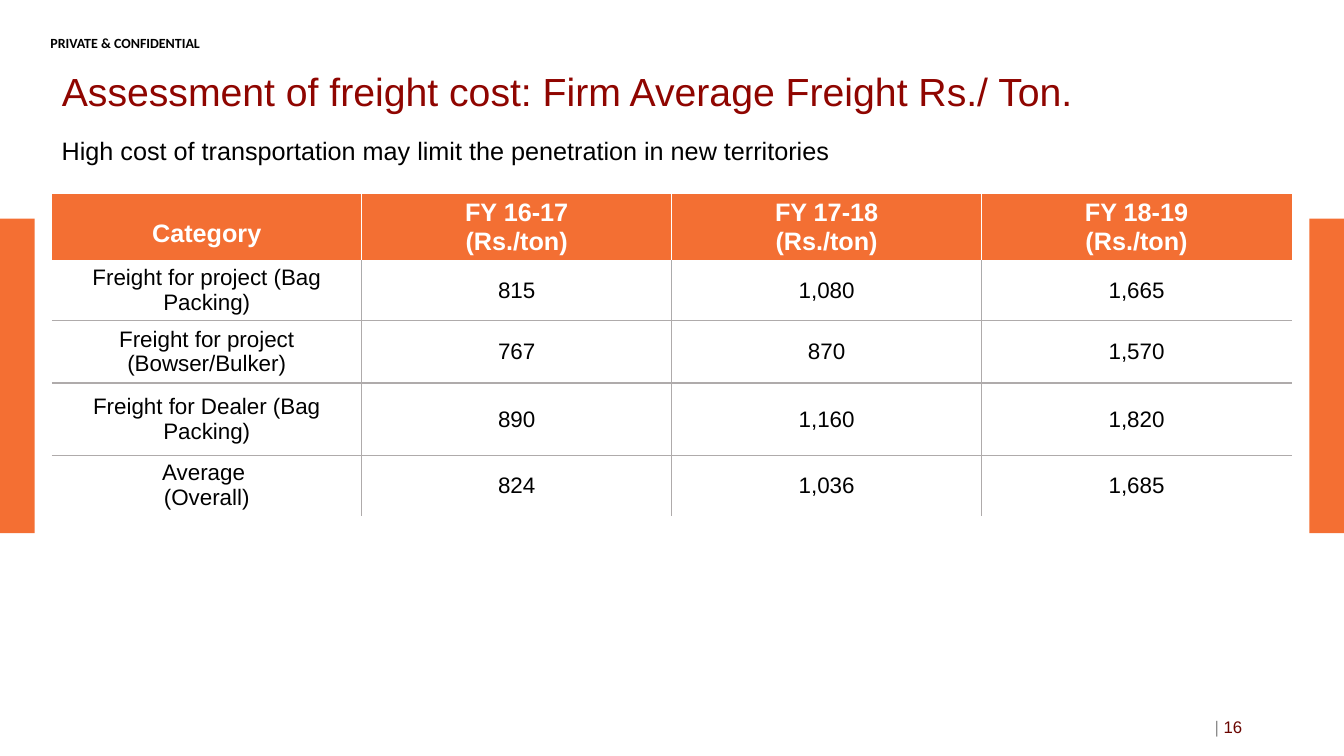
import lxml.etree
import pptx
import pptx.dml.color
import pptx.enum.shapes
import pptx.enum.text
import pptx.oxml.ns
import pptx.util

ALIGN = pptx.enum.text.PP_ALIGN
ANCHOR = pptx.enum.text.MSO_ANCHOR
ORANGE, WHITE, BLACK, GREY = "F46F33", "FFFFFF", "000000", "AFABAB"
HEADER_ORANGE, TITLE_RED, NUMBER_RED, BAR_GREY = "F36F33", "8F0500", "6A0500", "8C8C8C"


def rgb(value):
    return pptx.dml.color.RGBColor.from_string(value)


def write(p, text, size=18, color=BLACK, bold=False, font="Arial", align=ALIGN.LEFT, spacing=None):
    """Add text to a paragraph; a line feed becomes a line break."""
    p.alignment = align
    if spacing:
        p.line_spacing = spacing
    for i, line in enumerate(text.split("\n")):
        if i:
            p.add_line_break()
        r = p.add_run()
        r.text = line
        r.font.name, r.font.size, r.font.bold = font, pptx.util.Pt(size), bold
        r.font.color.rgb = rgb(color)


def cell_borders(cell, **sides):
    """Draw 1 pt borders on sides L, R, T, B; None means no line."""
    tcPr = cell._tc.get_or_add_tcPr()
    for side, color in sides.items():
        ln = lxml.etree.SubElement(tcPr, pptx.oxml.ns.qn("a:ln" + side), w="12700")
        if color is None:
            lxml.etree.SubElement(ln, pptx.oxml.ns.qn("a:noFill"))
        else:
            fill = lxml.etree.SubElement(ln, pptx.oxml.ns.qn("a:solidFill"))
            lxml.etree.SubElement(fill, pptx.oxml.ns.qn("a:srgbClr"), val=color)


class Deck:
    """Holds the style and the current slide; lengths are percent of the slide's size."""

    def __init__(self):
        self.prs = pptx.Presentation()
        self.prs.slide_width = pptx.util.Inches(13.33)
        self.prs.slide_height = pptx.util.Inches(7.5)
        self.slide = self.prs.slides.add_slide(self.prs.slide_layouts[5])

    def x(self, share):
        return round(self.prs.slide_width * share / 100)

    def y(self, share):
        return round(self.prs.slide_height * share / 100)

    def box(self, left, top, width, height):
        return self.x(left), self.y(top), self.x(width), self.y(height)

    def bar(self, *place):
        sp = self.slide.shapes.add_shape(pptx.enum.shapes.MSO_SHAPE.RECTANGLE, *self.box(*place))
        sp.shadow.inherit = False
        sp.fill.solid()
        sp.fill.fore_color.rgb = rgb(ORANGE)
        sp.line.fill.background()

    def title(self, text, *place, **style):
        sp = self.slide.shapes.title
        sp.left, sp.top, sp.width, sp.height = self.box(*place)
        tf = sp.text_frame
        tf.auto_size = pptx.enum.text.MSO_AUTO_SIZE.NONE
        tf.vertical_anchor = ANCHOR.MIDDLE
        write(tf.paragraphs[0], text, **style)

    def text(self, runs, *place, anchor=ANCHOR.TOP, inset=True):
        tf = self.slide.shapes.add_textbox(*self.box(*place)).text_frame
        tf.word_wrap = True
        tf.vertical_anchor = anchor
        if not inset:
            tf.margin_left = tf.margin_right = tf.margin_top = tf.margin_bottom = 0
        for text, style in runs:
            write(tf.paragraphs[0], text, **style)

    def table(self, data, left, top, width, heights):
        rows, cols = len(data), len(data[0])
        place = self.box(left, top, width, sum(heights))
        table = self.slide.shapes.add_table(rows, cols, *place).table
        for col in table.columns:
            col.width = self.x(width / cols)
        for i, values in enumerate(data):
            table.rows[i].height = self.y(heights[i])
            for j, value in enumerate(values):
                cell = table.cell(i, j)
                cell.vertical_anchor = ANCHOR.MIDDLE
                cell.margin_top = cell.margin_bottom = pptx.util.Inches(0.03)
                line = GREY if i else WHITE
                cell_borders(cell,
                             L=line if j else None,
                             R=line if j < cols - 1 else None,
                             T=(GREY if i > 1 else WHITE) if i else None,
                             B=line if i < rows - 1 else None)
                p = cell.text_frame.paragraphs[0]
                if i:
                    cell.fill.background()
                    write(p, value, size=16, align=ALIGN.CENTER)
                else:
                    cell.fill.solid()
                    cell.fill.fore_color.rgb = rgb(HEADER_ORANGE)
                    write(p, value, color=WHITE, bold=True, align=ALIGN.CENTER,
                          spacing=None if j else 1.5)


def main():
    deck = Deck()

    # Side bars and confidentiality mark
    bar_width = 2.58
    for left in (0, 100 - bar_width):
        deck.bar(left, 28.93, bar_width, 41.6)
    deck.text([("PRIVATE & CONFIDENTIAL", dict(size=10, bold=True, font="Calibri"))],
              3.75, 4.53, 18.98, 1.6, inset=False)

    # Title and message
    margin = 3.85
    deck.title("Assessment of freight cost: Firm Average Freight Rs./ Ton.",
               margin, 7.73, 81.47, 9.47, size=28, color=TITLE_RED, spacing=0.9)
    deck.text([("High cost of transportation may limit the penetration in new territories", {})],
              margin, 17.2, 60.69, 5.33)

    # Freight table
    years = [f"FY {year}-{year + 1}\n(Rs./ton)" for year in (16, 17, 18)]
    deck.table([
        ["Category", *years],
        ["Freight for project (Bag Packing)", "815", "1,080", "1,665"],
        ["Freight for project (Bowser/Bulker)", "767", "870", "1,570"],
        ["Freight for Dealer (Bag Packing)", "890", "1,160", "1,820"],
        ["Average \n(Overall)", "824", "1,036", "1,685"],
    ], margin, 25.65, 92.25, [8.73, 7.95, 8.27, 9.6, 7.95])

    # Page number
    deck.text([("| ", dict(size=12, color=BAR_GREY, align=ALIGN.RIGHT)),
               ("16", dict(size=12, color=NUMBER_RED, align=ALIGN.RIGHT))],
              70.67, 93.47, 22.5, 5.33, anchor=ANCHOR.MIDDLE)

    deck.prs.save("out.pptx")


if __name__ == "__main__":
    main()
